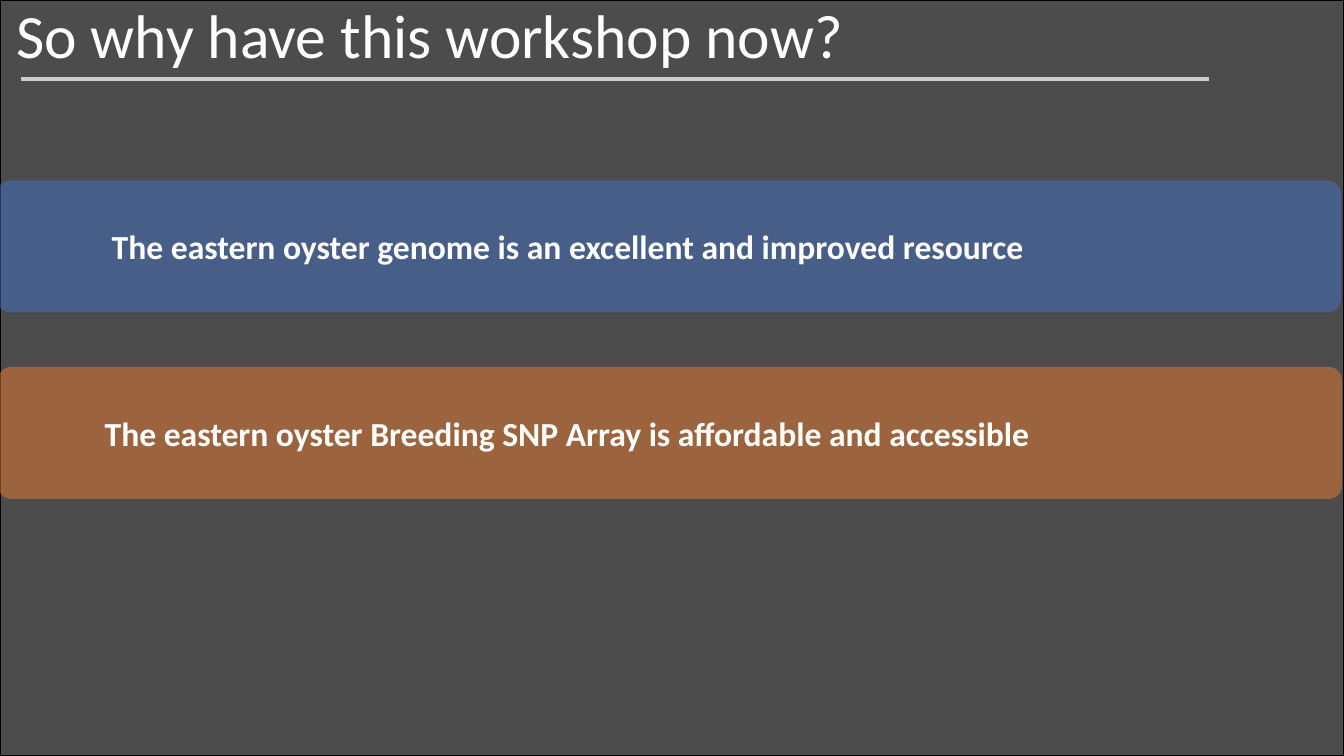
from lxml.etree import SubElement
from pptx import Presentation
from pptx.dml.color import RGBColor
from pptx.enum.shapes import MSO_CONNECTOR, MSO_SHAPE
from pptx.enum.text import MSO_ANCHOR, PP_ALIGN
from pptx.oxml.ns import qn
from pptx.util import Inches, Pt

BLACK = RGBColor(0x00, 0x00, 0x00)
WHITE = RGBColor(0xFF, 0xFF, 0xFF)
SILVER = RGBColor(0xCD, 0xCD, 0xCD)
BLUE = RGBColor(0x44, 0x72, 0xC4)
ORANGE = RGBColor(0xED, 0x7D, 0x31)
FONT = "Calibri"

# Content: text, colour, left, top and text indent of each bar
TITLE = "So why have this workshop now?"
REASONS = [
    ("The eastern oyster genome is an excellent and improved resource",
     BLUE, -0.03, 1.79, 1.1),
    ("The eastern oyster Breeding SNP Array is affordable and accessible",
     ORANGE, -0.02, 3.64, 1.02),
]
PAGE_WIDTH, PAGE_HEIGHT = 13.33, 7.5
BAR_HEIGHT = 1.31


def add_panel(page, preset, left, top, width, height, color, opacity):
    """Add a shape with a see-through fill and no shadow."""
    panel = page.shapes.add_shape(
        preset, Inches(left), Inches(top), Inches(width), Inches(height))
    panel.shadow.inherit = False
    panel.fill.solid()
    panel.fill.fore_color.rgb = color
    tint = panel.fill._xPr.find(qn("a:solidFill"))[0]
    SubElement(tint, qn("a:alpha"), val=str(opacity * 1000))
    return panel


def style_text(para, size, bold):
    para.alignment = PP_ALIGN.LEFT
    para.font.name = FONT
    para.font.size = Pt(size)
    para.font.bold = bold
    para.font.color.rgb = WHITE


deck = Presentation()
deck.slide_width, deck.slide_height = Inches(PAGE_WIDTH), Inches(PAGE_HEIGHT)
page = deck.slides.add_slide(deck.slide_layouts[5])

# Dark backdrop, placed behind the title
backdrop = add_panel(page, MSO_SHAPE.RECTANGLE, 0, 0, PAGE_WIDTH, PAGE_HEIGHT, BLACK, 70)
backdrop.line.color.rgb = BLACK
backdrop.line.width = Pt(1)
page.shapes._spTree.insert(2, backdrop._element)

# Title
title = page.shapes.title
title.left, title.top = Inches(0.06), Inches(0)
title.width, title.height = Inches(10.97), Inches(1.45)
title.text_frame.text = TITLE
title.text_frame.vertical_anchor = MSO_ANCHOR.TOP
heading = title.text_frame.paragraphs[0]
heading.line_spacing = 0.9
style_text(heading, 44, False)

# Rule under the title
rule = page.shapes.add_connector(
    MSO_CONNECTOR.STRAIGHT, Inches(11.99), Inches(0.78), Inches(0.21), Inches(0.78))
rule.line.color.rgb = SILVER
rule.line.width = Pt(3)
SubElement(rule._element.spPr, qn("a:effectLst"))

# Reason bars
for text, color, left, top, indent in REASONS:
    bar = add_panel(page, MSO_SHAPE.ROUNDED_RECTANGLE,
                    left, top, PAGE_WIDTH, BAR_HEIGHT, color, 50)
    bar.adjustments[0] = 0.1
    bar.line.fill.background()
    frame = bar.text_frame
    frame.word_wrap = True
    frame.vertical_anchor = MSO_ANCHOR.MIDDLE
    frame.margin_left, frame.margin_right = Inches(indent), Inches(0)
    frame.text = text
    style_text(frame.paragraphs[0], 24, True)

deck.save("out.pptx")
